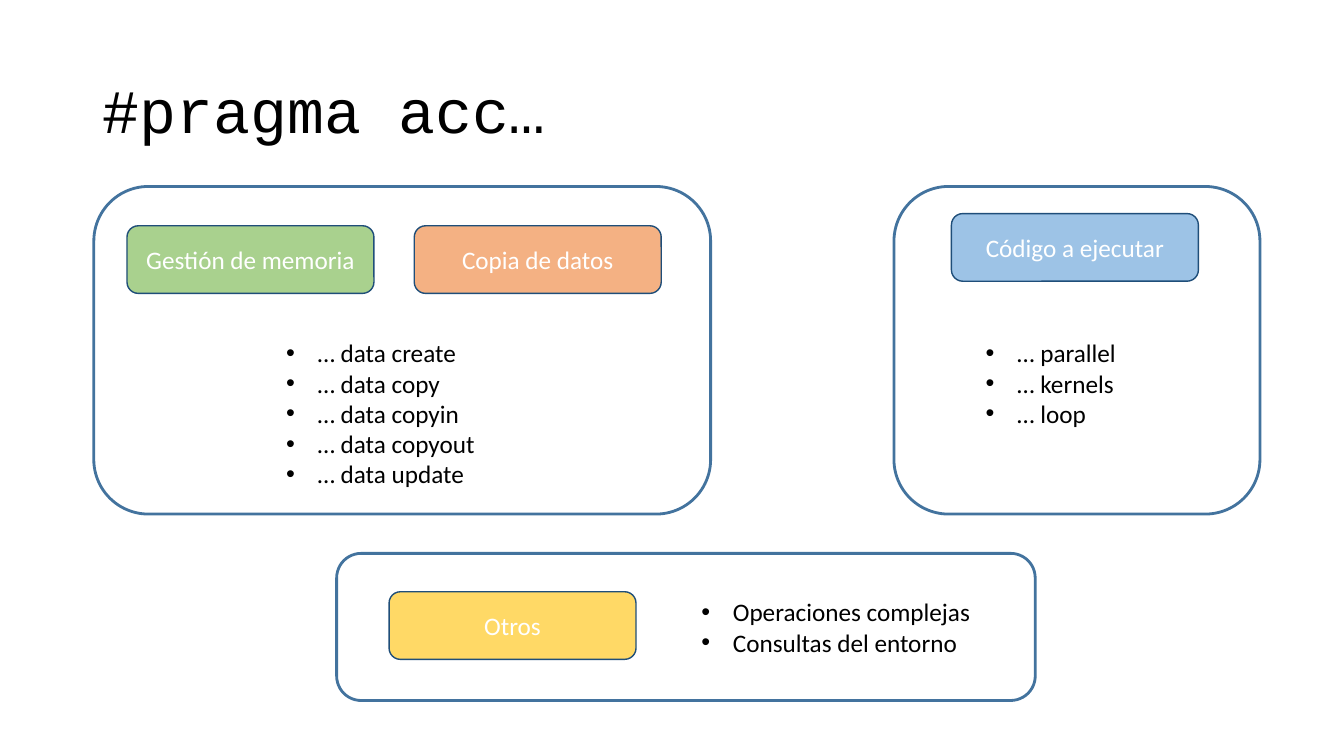
from lxml.etree import SubElement
from pptx import Presentation
from pptx.dml.color import RGBColor
from pptx.enum.shapes import MSO_SHAPE
from pptx.enum.text import MSO_ANCHOR, MSO_AUTO_SIZE, PP_ALIGN
from pptx.oxml.ns import qn
from pptx.util import Pt

LABEL_SIZE = (176.4, 48.3)
BULLET_INDENT = 22.5

PANELS = [
    {
        "box": (67, 133.2, 440.6, 234),
        "labels": [
            (23.7, 28.1, "Gestión de memoria", "A9D18E"),
            (228.9, 28.1, "Copia de datos", "F4B183"),
        ],
        "list_box": (130.3, 104.4, 179.3, 116.6),
        "items": ["… data create", "… data copy", "… data copyin",
                  "… data copyout", "… data update"],
    },
    {
        "box": (638.6, 133.2, 261.4, 234),
        "labels": [(41, 19.4, "Código a ejecutar", "9DC3E6")],
        "list_box": (58.4, 104.4, 179.3, 72.7),
        "items": ["… parallel", "… kernels", "… loop"],
    },
    {
        "box": (240.5, 395.3, 499, 105.1),
        "labels": [(37.4, 27.4, "Otros", "FFD966")],
        "list_box": (253.4, 27.4, 208.8, 51.1),
        "items": ["Operaciones complejas", "Consultas del entorno"],
        "wrap": False,
    },
]


def color(value):
    return RGBColor.from_string(value)


def set_attributes(target, values):
    for name, value in values.items():
        setattr(target, name, value)


def write(para, text, fill, size=18, font="Calibri"):
    span = para.add_run()
    span.text = text
    set_attributes(span.font, {"name": font, "size": Pt(size)})
    span.font.color.rgb = color(fill)


def add_title(slide, box, text):
    title = slide.shapes.title
    left, top, width, height = map(Pt, box)
    set_attributes(title, {"left": left, "top": top, "width": width, "height": height})
    set_attributes(title.text_frame, {
        "vertical_anchor": MSO_ANCHOR.MIDDLE, "word_wrap": True,
        "auto_size": MSO_AUTO_SIZE.NONE})
    para = title.text_frame.paragraphs[0]
    set_attributes(para, {"alignment": PP_ALIGN.LEFT, "line_spacing": 0.9})
    write(para, text, "000000", 44, "Courier New")


def add_rounded(slide, box, line, weight, fill=None):
    shape = slide.shapes.add_shape(MSO_SHAPE.ROUNDED_RECTANGLE, *map(Pt, box))
    shape.shadow.inherit = False
    if fill:
        shape.fill.solid()
        shape.fill.fore_color.rgb = color(fill)
    else:
        shape.fill.background()
    shape.line.color.rgb = color(line)
    shape.line.width = Pt(weight)
    return shape


def add_label(slide, left, top, text, fill):
    label = add_rounded(slide, (left, top, *LABEL_SIZE), "1F4E79", 1, fill)
    set_attributes(label.text_frame, {
        "vertical_anchor": MSO_ANCHOR.MIDDLE, "word_wrap": True})
    para = label.text_frame.paragraphs[0]
    para.alignment = PP_ALIGN.CENTER
    write(para, text, "FFFFFF")


def add_bullet(para):
    properties = para._p.get_or_add_pPr()
    properties.set("marL", str(Pt(BULLET_INDENT)))
    properties.set("indent", str(-Pt(BULLET_INDENT)))
    SubElement(properties, qn("a:buFont")).set("typeface", "Arial")
    SubElement(properties, qn("a:buChar")).set("char", "•")


def add_list(slide, box, items, wrap):
    frame = slide.shapes.add_textbox(*map(Pt, box)).text_frame
    set_attributes(frame, {"word_wrap": wrap, "auto_size": MSO_AUTO_SIZE.SHAPE_TO_FIT_TEXT})
    for index, item in enumerate(items):
        para = frame.add_paragraph() if index else frame.paragraphs[0]
        add_bullet(para)
        write(para, item, "000000")


def add_panel(slide, box, labels, list_box, items, wrap=True):
    left, top = box[:2]
    for across, down, text, fill in labels:
        add_label(slide, left + across, top + down, text, fill)
    across, down, width, height = list_box
    add_list(slide, (left + across, top + down, width, height), items, wrap)
    add_rounded(slide, box, "43739E", 2)


def main():
    deck = Presentation()
    set_attributes(deck, {"slide_width": Pt(960), "slide_height": Pt(540)})
    page = deck.slides.add_slide(deck.slide_layouts.get_by_name("Title Only"))
    add_title(page, (66, 28.8, 828, 104.4), "#pragma acc…")
    for panel in PANELS:
        add_panel(page, **panel)
    deck.save("out.pptx")


if __name__ == "__main__":
    main()
